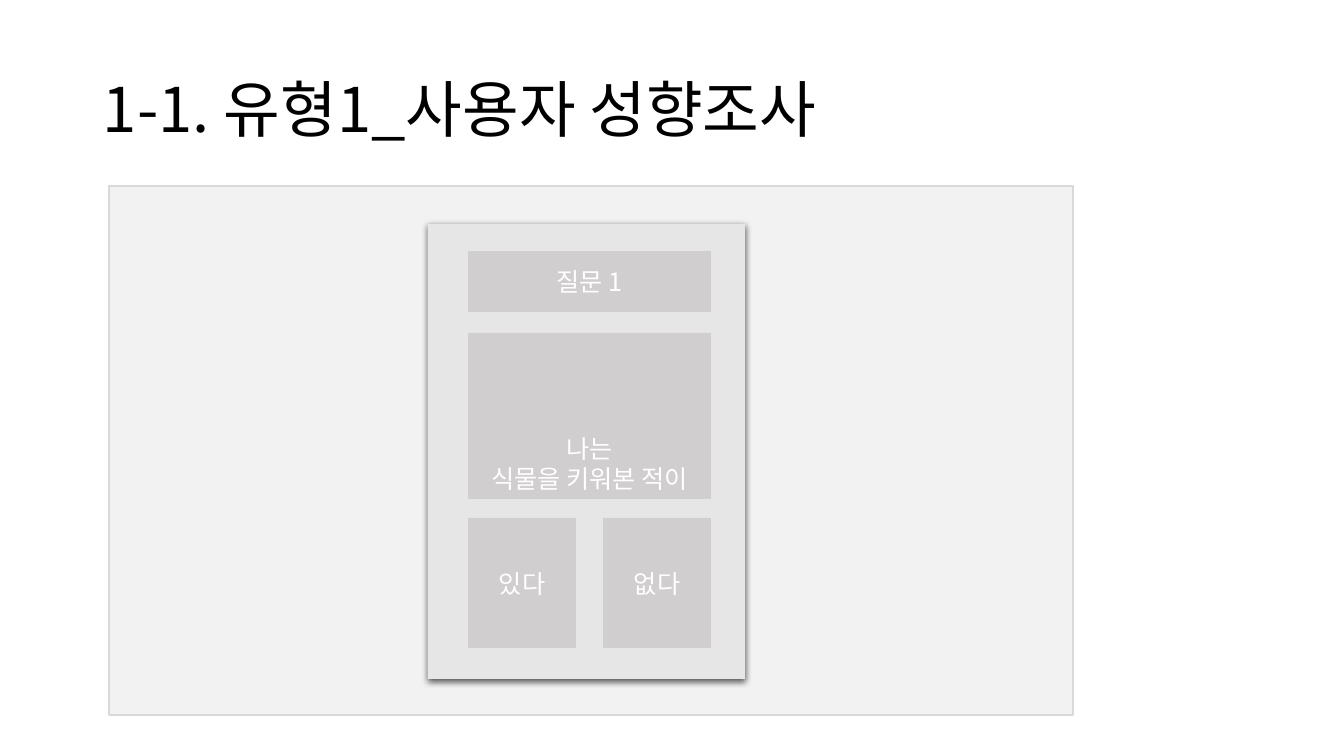
import lxml.etree
import pptx
import pptx.dml.color
import pptx.enum.shapes
import pptx.enum.text
import pptx.oxml.ns
import pptx.util

TITLE = "1-1. 유형1_사용자 성향조사"
QUESTION_LABEL = "질문 1"
QUESTION_LINES = ["나는", "식물을 키워본 적이"]
ANSWERS = ["있다", "없다"]

THEME = {
    "font": "Noto Sans CJK KR",
    "title_size": 44,
    "card_size": 18,
    "ink": "000000",
    "panel": "F2F2F2",
    "panel_line": "D9D9D9",
    "phone": "E7E6E6",
    "card": "D0CECE",
    "card_text": "FFFFFF",
    "shadow": "000000",
}
PX = 914400 / 100.8
SLIDE = (1344, 756)
TITLE_BOX = (93, 40, 1159, 146)
PANEL = (109, 186, 964, 529)
PHONE = (428, 224, 317, 455)
CARD_LEFT, CARD_WIDTH = 468, 243
LABEL_TOP, LABEL_HEIGHT = 251, 61
QUESTION_TOP, QUESTION_HEIGHT = 333, 166
ANSWER_TOP, ANSWER_WIDTH, ANSWER_HEIGHT = 518, 108, 130

ALIGN = pptx.enum.text.PP_ALIGN
ANCHOR = pptx.enum.text.MSO_ANCHOR


def emu(px):
    return pptx.util.Emu(round(px * PX))


def color(name):
    return pptx.dml.color.RGBColor.from_string(THEME[name])


def assign(target, values):
    for name, value in values.items():
        setattr(target, name, value)


def add_rect(page, bounds, fill, line=None):
    box = page.shapes.add_shape(
        pptx.enum.shapes.MSO_SHAPE.RECTANGLE, *map(emu, bounds)
    )
    box.fill.solid()
    box.fill.fore_color.rgb = color(fill)
    if line:
        box.line.color.rgb = color(line)
        box.line.width = pptx.util.Pt(1)
    else:
        box.line.fill.background()
    box.shadow.inherit = False
    return box


def write(box, lines, size, ink, anchor, paragraph_format):
    frame = box.text_frame
    assign(frame, {"word_wrap": True, "vertical_anchor": anchor})
    for index, line in enumerate(lines):
        para = frame.add_paragraph() if index else frame.paragraphs[0]
        assign(para, paragraph_format)
        span = para.add_run()
        span.text = line
        assign(span.font, {"size": pptx.util.Pt(THEME[size]), "name": THEME["font"]})
        span.font.color.rgb = color(ink)
        east_asian = lxml.etree.SubElement(
            span.font._element, pptx.oxml.ns.qn("a:ea")
        )
        east_asian.set("typeface", THEME["font"])


def add_shadow(box):
    effects = box._element.spPr.find(pptx.oxml.ns.qn("a:effectLst"))
    parent = effects
    for tag, values in [
        ("a:outerShdw", {"blurRad": 57150, "dist": 19050, "dir": 5400000,
                         "algn": "ctr", "rotWithShape": 0}),
        ("a:srgbClr", {"val": THEME["shadow"]}),
        ("a:alpha", {"val": 63000}),
    ]:
        parent = lxml.etree.SubElement(parent, pptx.oxml.ns.qn(tag))
        for name, value in values.items():
            parent.set(name, str(value))


def main():
    deck = pptx.Presentation()
    assign(deck, {"slide_width": emu(SLIDE[0]), "slide_height": emu(SLIDE[1])})
    page = deck.slides.add_slide(deck.slide_layouts[6])

    title = page.shapes.add_textbox(*map(emu, TITLE_BOX))
    write(title, [TITLE], "title_size", "ink", ANCHOR.MIDDLE, {"line_spacing": 0.9})

    add_rect(page, PANEL, "panel", "panel_line")
    add_shadow(add_rect(page, PHONE, "phone"))

    cards = [
        ((CARD_LEFT, LABEL_TOP, CARD_WIDTH, LABEL_HEIGHT),
         [QUESTION_LABEL], ANCHOR.MIDDLE),
        ((CARD_LEFT, QUESTION_TOP, CARD_WIDTH, QUESTION_HEIGHT),
         QUESTION_LINES, ANCHOR.BOTTOM),
    ]
    answer_step = (CARD_WIDTH - ANSWER_WIDTH) // (len(ANSWERS) - 1)
    for index, answer in enumerate(ANSWERS):
        left = CARD_LEFT + index * answer_step
        bounds = (left, ANSWER_TOP, ANSWER_WIDTH, ANSWER_HEIGHT)
        cards.append((bounds, [answer], ANCHOR.MIDDLE))

    for bounds, lines, anchor in cards:
        box = add_rect(page, bounds, "card")
        write(box, lines, "card_size", "card_text", anchor,
              {"alignment": ALIGN.CENTER})

    deck.save("out.pptx")


if __name__ == "__main__":
    main()
